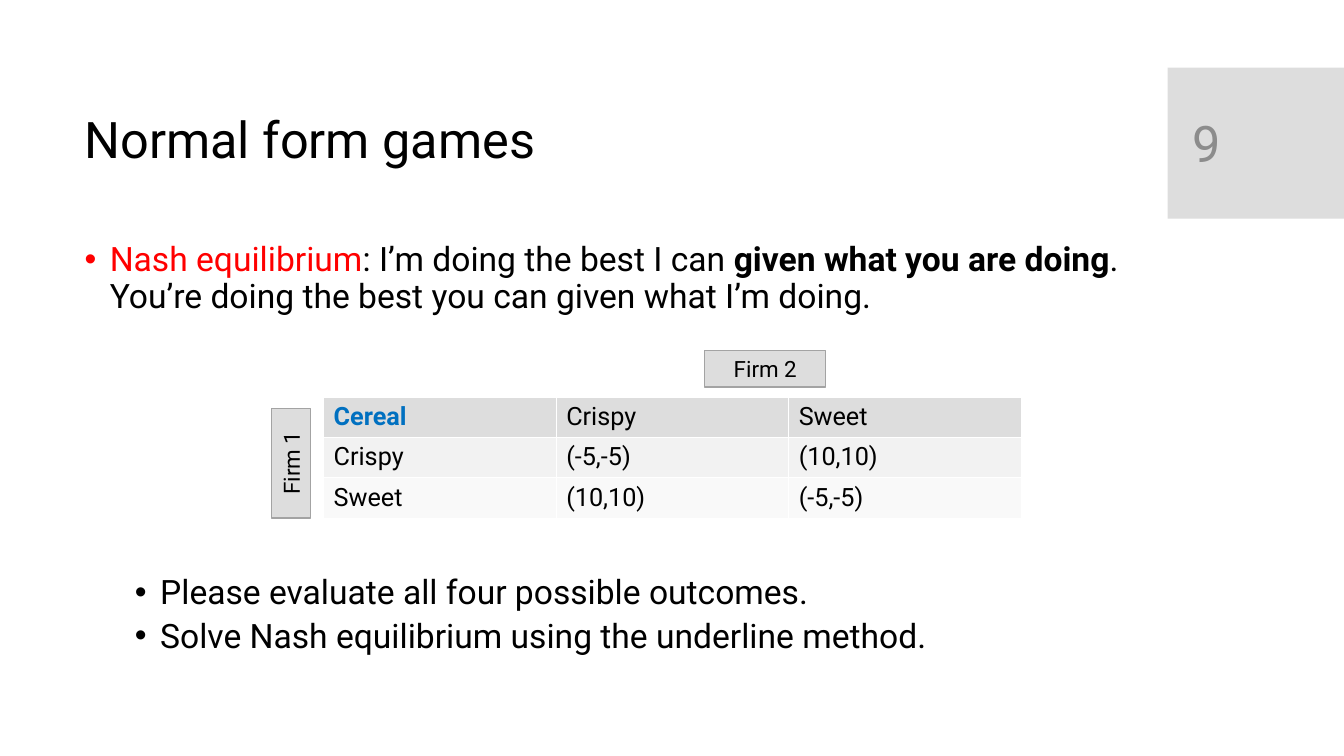
from lxml.etree import SubElement
from pptx import Presentation
from pptx.dml.color import RGBColor
from pptx.enum.shapes import MSO_SHAPE
from pptx.enum.text import MSO_ANCHOR, PP_ALIGN
from pptx.oxml.ns import qn
from pptx.util import Inches, Pt

COLORS = {
    "text": "000000",
    "term": "FF0000",
    "game": "0070C0",
    "number": "8C8C8C",
    "panel": "DDDDDD",
    "outline": "A3A3A3",
    "odd_row": "F2F2F2",
    "even_row": "F9F9F9",
}


def color(name):
    return RGBColor.from_string(COLORS[name])


def format_runs(paragraph, size, color_name="text", bold=False):
    for run in paragraph.runs:
        run.font.name = "Roboto"
        run.font.size = Pt(size)
        run.font.bold = bold
        run.font.color.rgb = color(color_name)


presentation = Presentation()
presentation.slide_width = Inches(13.33)
presentation.slide_height = Inches(7.5)
slide = presentation.slides.add_slide(presentation.slide_layouts[5])

title = slide.shapes.title
title.left, title.top = Inches(0.74), Inches(0.82)
title.width, title.height = Inches(10.51), Inches(1.18)
title.text_frame.text = "Normal form games"
title.text_frame.vertical_anchor = MSO_ANCHOR.MIDDLE
title_paragraph = title.text_frame.paragraphs[0]
title_paragraph.alignment = PP_ALIGN.LEFT
title_paragraph.line_spacing = 0.9
format_runs(title_paragraph, 36)

number_panel = slide.shapes.add_shape(
    MSO_SHAPE.RECTANGLE, Inches(11.58), Inches(0.67), Inches(1.75), Inches(1.5))
number_panel.shadow.inherit = False
number_panel.fill.solid()
number_panel.fill.fore_color.rgb = color("panel")
number_panel.line.fill.background()

number_box = slide.shapes.add_textbox(
    Inches(11.73), Inches(0.82), Inches(1.26), Inches(1.19))
number_box.text_frame.word_wrap = True
number_box.text_frame.vertical_anchor = MSO_ANCHOR.MIDDLE
number_box.text_frame.text = "9"
format_runs(number_box.text_frame.paragraphs[0], 36, "number")

body = slide.shapes.add_textbox(
    Inches(0.74), Inches(2.36), Inches(10.51), Inches(4.69))
body.text_frame.word_wrap = True
bullets = [
    (0, 0.25, 0, [
        ("Nash equilibrium", "term", False),
        (": I’m doing the best I can ", "text", False),
        ("given what you are doing", "text", True),
        (". You’re doing the best you can given what I’m doing.", "text", False),
    ]),
    (1, 0.75, 186, [("Please evaluate all four possible outcomes.", "text", False)]),
    (1, 0.75, 5, [("Solve Nash equilibrium using the underline method.", "text", False)]),
]
for index, (level, indent, space_before, parts) in enumerate(bullets):
    paragraph = body.text_frame.paragraphs[0] if index == 0 else body.text_frame.add_paragraph()
    paragraph.level = level
    paragraph.line_spacing = 0.9
    paragraph.space_before = Pt(space_before)
    properties = paragraph._p.get_or_add_pPr()
    properties.set("marL", str(Inches(indent)))
    properties.set("indent", str(Inches(-0.25)))
    SubElement(properties, qn("a:buFont"), typeface="Arial")
    SubElement(properties, qn("a:buChar"), char="•")
    for text, color_name, bold in parts:
        run = paragraph.add_run()
        run.text = text
        run.font.name = "Roboto"
        run.font.size = Pt(24)
        run.font.bold = bold
        run.font.color.rgb = color(color_name)

payoffs = [
    ("Cereal", "Crispy", "Sweet"),
    ("Crispy", "(-5,-5)", "(10,10)"),
    ("Sweet", "(10,10)", "(-5,-5)"),
]
row_fills = ["panel", "odd_row", "even_row"]
table = slide.shapes.add_table(
    3, 3, Inches(3.21), Inches(3.94), Inches(6.92), Inches(1.17)).table
for row_index, row_texts in enumerate(payoffs):
    table.rows[row_index].height = Inches(0.39)
    for column_index, text in enumerate(row_texts):
        cell = table.cell(row_index, column_index)
        cell.fill.solid()
        cell.fill.fore_color.rgb = color(row_fills[row_index])
        cell.text_frame.text = text
        is_corner = row_index == column_index == 0
        format_runs(cell.text_frame.paragraphs[0], 18,
                    "game" if is_corner else "text", is_corner)

firm_labels = [
    ("Firm 1", 2.34, 4.4, 1.09, 0.39, 270),
    ("Firm 2", 6.99, 3.48, 1.2, 0.36, 0),
]
for text, left, top, width, height, rotation in firm_labels:
    label = slide.shapes.add_shape(
        MSO_SHAPE.RECTANGLE, Inches(left), Inches(top), Inches(width), Inches(height))
    label.rotation = rotation
    label.shadow.inherit = False
    label.fill.solid()
    label.fill.fore_color.rgb = color("panel")
    label.line.color.rgb = color("outline")
    label.line.width = Pt(1)
    label.text_frame.text = text
    label.text_frame.vertical_anchor = MSO_ANCHOR.MIDDLE
    label.text_frame.paragraphs[0].alignment = PP_ALIGN.CENTER
    format_runs(label.text_frame.paragraphs[0], 16)

presentation.save("out.pptx")
